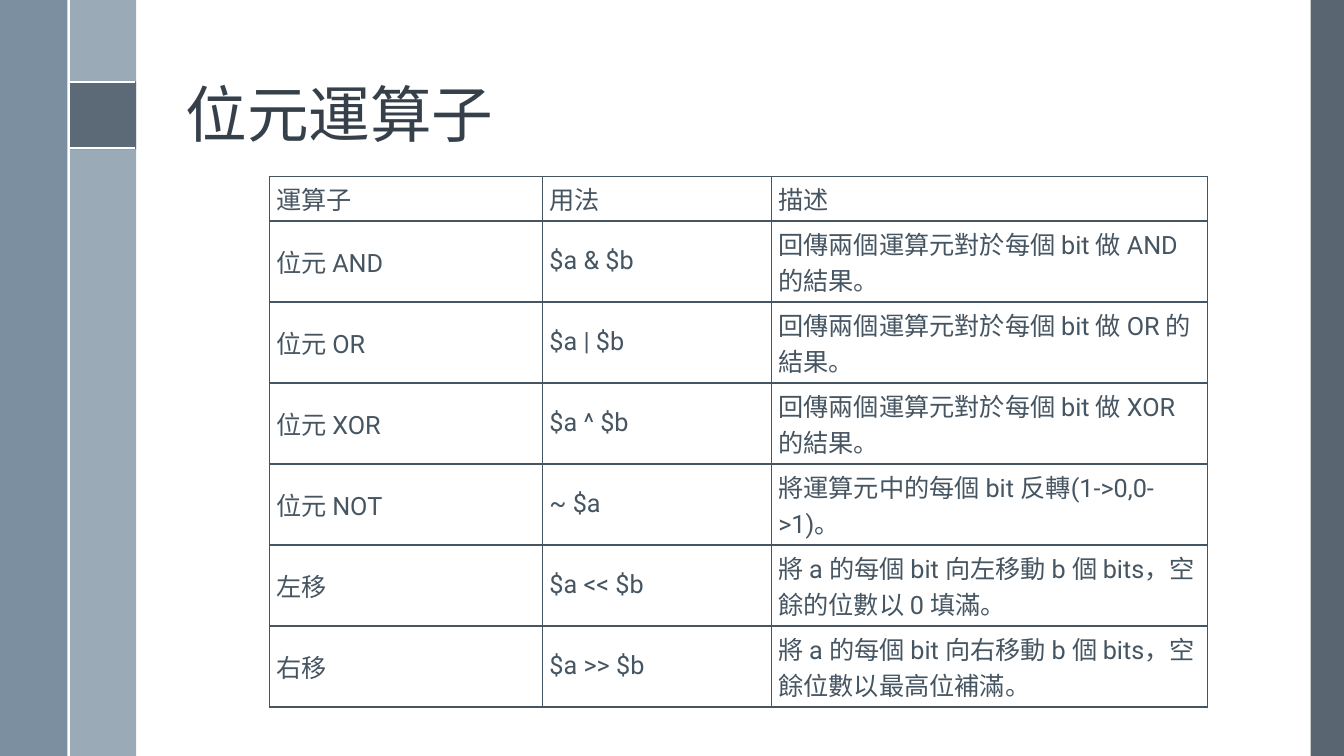
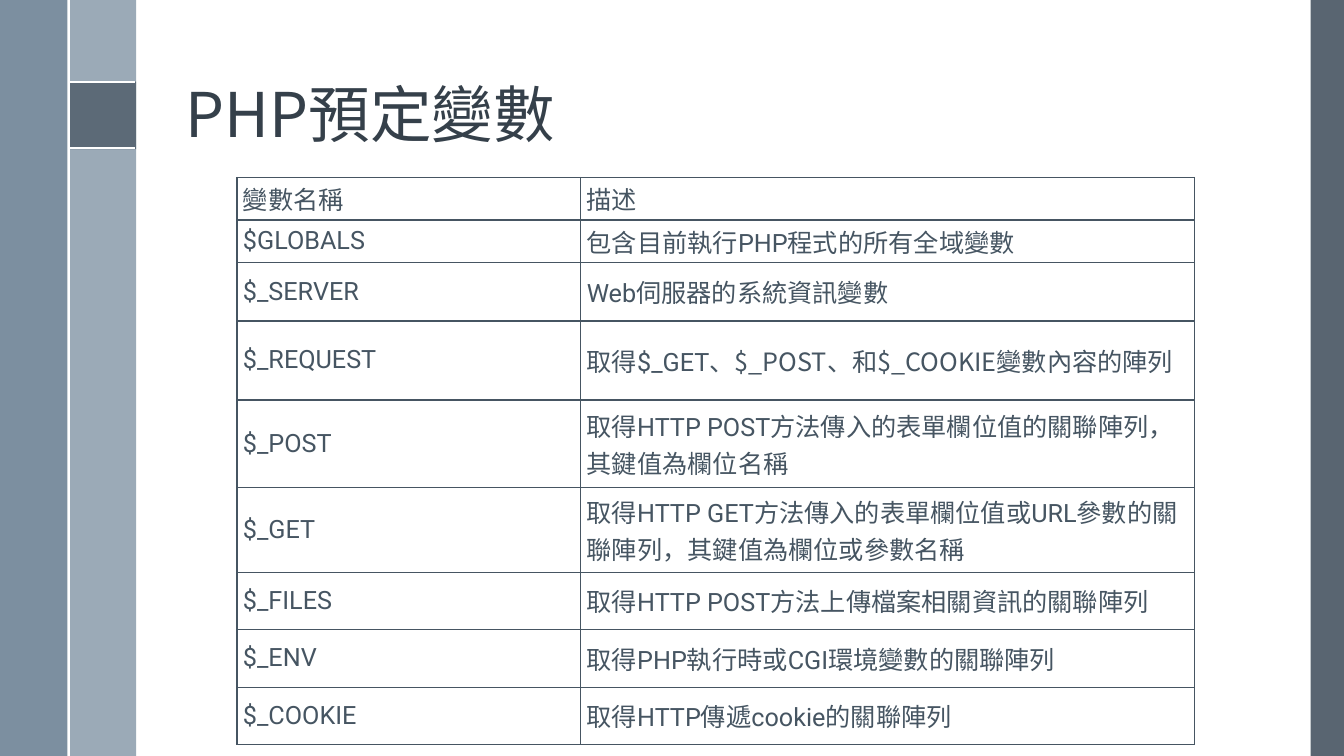
from lxml import etree
from pptx import Presentation
from pptx.dml.color import RGBColor
from pptx.enum import shapes, text
from pptx.oxml.ns import qn
from pptx.util import Inches, Pt

# Shared look
CJK, LATIN = "Noto Sans CJK TC", "Roboto"
WHITE = RGBColor(0xFF, 0xFF, 0xFF)
SLATE = RGBColor(0x47, 0x55, 0x62)
STEEL = RGBColor(0x6A, 0x80, 0x93)
MIST = RGBColor(0x9B, 0xAA, 0xB7)
TITLE_COLOR = RGBColor(0x35, 0x40, 0x4A)
TABLE_COLOR = RGBColor(0x46, 0x55, 0x62)

# Left, top, width, height, colour, opacity in percent
BANDS = [
    (13, 0, 0.33, 7.5, SLATE, 90),
    (0.68, 0, 0.67, 7.5, MIST, 100),
    (0, 0, 0.67, 7.5, STEEL, 88),
    (0.68, 0.81, 0.67, 0.67, SLATE, 75),
]
RULES = [
    (0.68, 0.81, 1.34, 0.81),
    (0.68, 1.47, 1.34, 1.47),
    (0.68, 0, 0.68, 7.5),
]

# Content: a (first, second) pair in a cell sets its second part in the CJK font
SLIDES = [
    {
        "title": "位元運算子",
        "at": (2.67, 1.75),
        "inset": (0.07, 0.04),
        "columns": [2.71, 2.27, 4.33],
        "heights": [0.43] + [0.8] * 6,
        "rows": [
            ("運算子", "用法", "描述"),
            ("位元 AND", "$a & $b", "回傳兩個運算元對於每個 bit 做 AND 的結果。"),
            ("位元 OR", "$a | $b", "回傳兩個運算元對於每個 bit 做 OR 的結果。"),
            ("位元 XOR", "$a ^ $b", "回傳兩個運算元對於每個 bit 做 XOR 的結果。"),
            ("位元 NOT", "~ $a", "將運算元中的每個 bit 反轉(1->0,0->1)。"),
            ("左移", "$a << $b", "將 a 的每個 bit 向左移動 b 個 bits，空餘的位數以 0 填滿。"),
            ("右移", "$a >> $b", "將 a 的每個 bit 向右移動 b 個 bits，空餘位數以最高位補滿。"),
        ],
    },
    {
        "title": "PHP預定變數",
        "at": (2.35, 1.76),
        "inset": (0.06, 0.03),
        "columns": [3.41, 6.09],
        "heights": [0.41, 0.41, 0.58, 0.78, 0.87, 0.84, 0.57, 0.57, 0.57],
        "rows": [
            ("變數名稱", "描述"),
            ("$GLOBALS", "包含目前執行PHP程式的所有全域變數"),
            ("$_SERVER", "Web伺服器的系統資訊變數"),
            ("$_REQUEST", ("取得$_GET", "、$_POST、和$_COOKIE變數內容的陣列")),
            ("$_POST", ("取得HTTP POST方法傳入的表單欄位值的關聯陣列", "，其鍵值為欄位名稱")),
            ("$_GET", ("取得HTTP GET方法傳入的表單欄位值或URL參數的關聯陣列",
                       "，其鍵值為欄位或參數名稱")),
            ("$_FILES", "取得HTTP POST方法上傳檔案相關資訊的關聯陣列"),
            ("$_ENV", "取得PHP執行時或CGI環境變數的關聯陣列"),
            ("$_COOKIE", "取得HTTP傳遞cookie的關聯陣列"),
        ],
    },
]


def style_paragraph(paragraph, size, name, color):
    font = paragraph.font
    font.size, font.name, font.color.rgb = Pt(size), name, color
    etree.SubElement(font._rPr, qn("a:ea"), typeface=CJK)


def add_band(slide, left, top, width, height, color, opacity):
    band = slide.shapes.add_shape(
        shapes.MSO_SHAPE.RECTANGLE, *map(Inches, (left, top, width, height)))
    band.shadow.inherit = False
    band.fill.solid()
    band.fill.fore_color.rgb = color
    band.line.fill.background()
    if opacity < 100:
        tint = band.element.spPr.find(".//" + qn("a:srgbClr"))
        etree.SubElement(tint, qn("a:alpha"), val=str(opacity * 1000))
    return band


def add_rule(slide, *ends):
    rule = slide.shapes.add_connector(
        shapes.MSO_CONNECTOR.STRAIGHT, *map(Inches, ends))
    rule.line.color.rgb = WHITE
    rule.line.width = Pt(1.5)
    etree.SubElement(rule.element.spPr, qn("a:effectLst"))
    return rule


def set_up_layout(layout):
    """Place the title and drop the unused footer placeholders."""
    for holder in list(layout.placeholders):
        if holder.placeholder_format.idx:
            holder.element.getparent().remove(holder.element)
    title = layout.placeholders[0]
    title.left, title.top, title.width, title.height = map(
        Inches, (1.74, 0.19, 10.7, 1.36))
    title.text_frame.vertical_anchor = text.MSO_ANCHOR.BOTTOM
    title.text_frame.auto_size = text.MSO_AUTO_SIZE.NONE


def decorate_layout(layout, slide):
    """Draw bands and rules once, then hand them to the layout."""
    parts = [add_band(slide, *band) for band in BANDS]
    parts += [add_rule(slide, *rule) for rule in RULES]
    for part in parts:
        layout.shapes.element.append(part.element)


def add_title(slide, wording):
    slide.shapes.title.text_frame.text = wording
    paragraph = slide.shapes.title.text_frame.paragraphs[0]
    paragraph.alignment = text.PP_ALIGN.LEFT
    paragraph.line_spacing = 0.9
    style_paragraph(paragraph, 44, CJK, TITLE_COLOR)


def fill_cell(cell, content, inset):
    side, edge = map(Inches, inset)
    cell.margin_left = cell.margin_right = side
    cell.margin_top = cell.margin_bottom = edge
    cell.vertical_anchor = text.MSO_ANCHOR.MIDDLE
    # Borders come before the fill
    for border in ("lnL", "lnR", "lnT", "lnB"):
        line = etree.SubElement(
            cell._tc.get_or_add_tcPr(), qn("a:" + border), w=str(Pt(1)))
        solid = etree.SubElement(line, qn("a:solidFill"))
        etree.SubElement(solid, qn("a:srgbClr"), val=str(TABLE_COLOR))
    cell.fill.solid()
    cell.fill.fore_color.rgb = WHITE
    # Text
    paragraph = cell.text_frame.paragraphs[0]
    style_paragraph(paragraph, 18, LATIN, TABLE_COLOR)
    first, *rest = (content,) if isinstance(content, str) else content
    paragraph.add_run().text = first
    for wording in rest:
        run = paragraph.add_run()
        run.text = wording
        run.font.name = CJK


def add_grid(slide, content):
    columns, heights = content["columns"], content["heights"]
    table = slide.shapes.add_table(
        len(heights), len(columns), *map(Inches, content["at"]),
        Inches(sum(columns)), Inches(sum(heights))).table
    table.first_row = table.horz_banding = False
    for column, width in zip(table.columns, columns):
        column.width = Inches(width)
    for row, height, entries in zip(table.rows, heights, content["rows"]):
        row.height = Inches(height)
        for cell, entry in zip(row.cells, entries):
            fill_cell(cell, entry, content["inset"])


def main():
    deck = Presentation()
    deck.slide_width, deck.slide_height = Inches(13.33), Inches(7.5)
    layout = deck.slide_layouts[5]
    set_up_layout(layout)
    for number, content in enumerate(SLIDES):
        slide = deck.slides.add_slide(layout)
        if number == 0:
            decorate_layout(layout, slide)
        add_title(slide, content["title"])
        add_grid(slide, content)
    deck.save("out.pptx")


if __name__ == "__main__":
    main()
